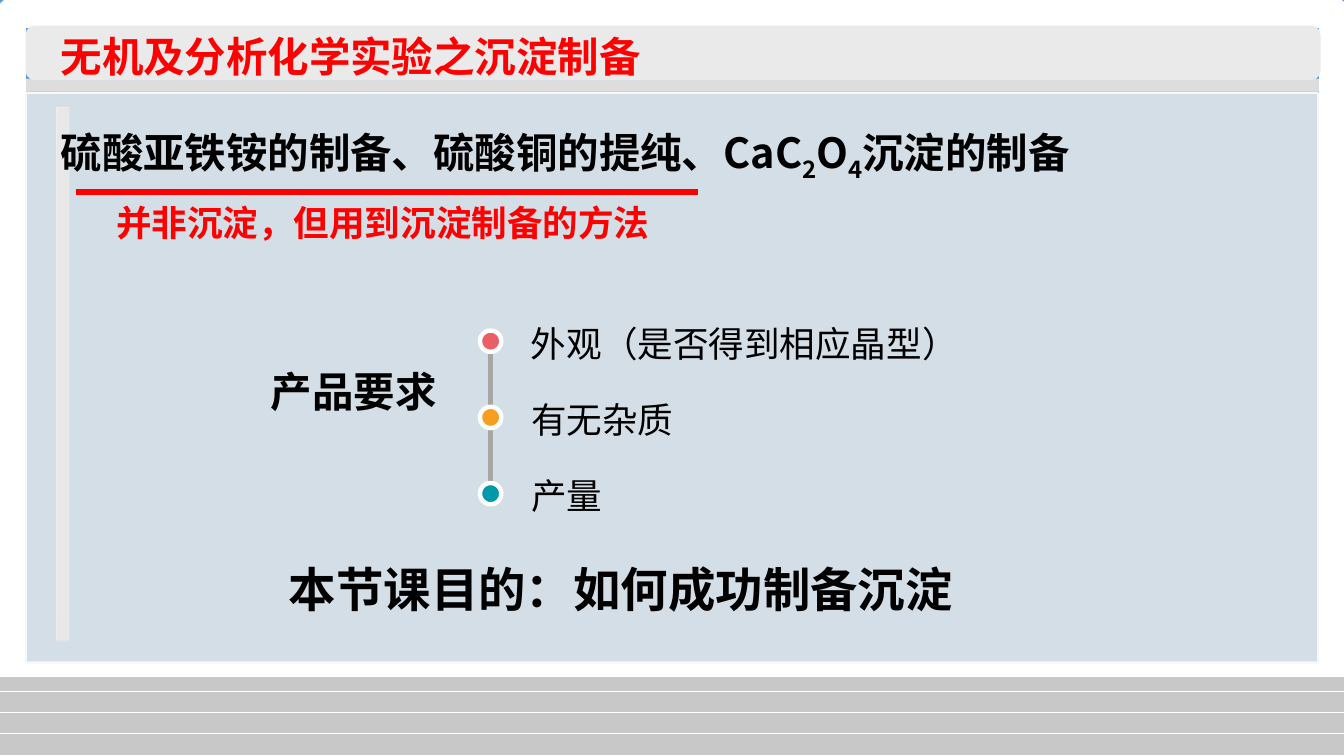
from pptx import Presentation
from pptx.dml.color import RGBColor
from pptx.enum.dml import MSO_PATTERN
from pptx.enum.shapes import MSO_CONNECTOR, MSO_SHAPE
from pptx.enum.text import MSO_AUTO_SIZE, PP_ALIGN
from pptx.oxml.ns import qn
from pptx.util import Inches, Pt
from lxml import etree

# Grid of 126 columns by 70.9 rows, one cell is a tenth of an inch
COLUMNS, ROWS = 126, 70.9

BLUE = RGBColor(0x5B, 0x9B, 0xD5)
WHITE = RGBColor(0xFF, 0xFF, 0xFF)
BLACK = RGBColor(0x00, 0x00, 0x00)
RED = RGBColor(0xFF, 0x00, 0x00)
PANEL = RGBColor(0xEA, 0xEA, 0xEA)
PANEL_EDGE = RGBColor(0xF8, 0xF8, 0xF8)
STRIP = RGBColor(0xDD, 0xDD, 0xDD)
SHADE = RGBColor(0xB2, 0xB2, 0xB2)
STRIPE = RGBColor(0xC8, 0xC8, 0xC8)
TIMELINE = RGBColor(0xA6, 0xA6, 0xA6)
CORAL = RGBColor(0xEA, 0x5E, 0x66)
ORANGE = RGBColor(0xF6, 0x9F, 0x1E)
TEAL = RGBColor(0x00, 0x99, 0xA9)

SANS, SERIF = "Noto Sans CJK SC", "Times New Roman"
REQUIREMENTS = [
    ("外观（是否得到相应晶型）", 42.4, CORAL),
    ("有无杂质", 15.5, ORANGE),
    ("产量", 8.8, TEAL),
]


def cells(*counts):
    return [Inches(count / 10) for count in counts]


def paint(shape, fill=None, line=None, width=1):
    shape.shadow.inherit = False
    if fill is None:
        shape.fill.background()
    else:
        shape.fill.solid()
        shape.fill.fore_color.rgb = fill
    if line is None:
        shape.line.fill.background()
    else:
        shape.line.color.rgb = line
        shape.line.width = Pt(width)


def add_block(slide, box, fill=None, line=None, width=1, kind=MSO_SHAPE.RECTANGLE):
    shape = slide.shapes.add_shape(kind, *cells(*box))
    paint(shape, fill, line, width)
    return shape


def add_bevel(slide, box, upper, lower, fill=None):
    """Two open corner outlines: upper left, then lower right."""
    left, top, width, height = box
    right, bottom = left + width, top + height
    for corner, color in (((left, top), upper), ((right, bottom), lower)):
        points = [cells(*point) for point in ((left, bottom), corner, (right, top))]
        builder = slide.shapes.build_freeform(*points[0], scale=1.0)
        builder.add_line_segments(points[1:], close=False)
        paint(builder.convert_to_shape(), fill, color)


def add_line(slide, start, end, color, width):
    line = slide.shapes.add_connector(MSO_CONNECTOR.STRAIGHT, *cells(*start, *end))
    line.line.color.rgb = color
    line.line.width = Pt(width)
    etree.SubElement(line._element.spPr, qn("a:effectLst"))


def add_text(slide, box, parts, size, font=SANS, color=BLACK, bold=True,
             wrap=False, spacing=1.0):
    """Each part is a text with its baseline shift in percent."""
    frame = slide.shapes.add_textbox(*cells(*box)).text_frame
    frame.word_wrap = wrap
    frame.auto_size = MSO_AUTO_SIZE.SHAPE_TO_FIT_TEXT
    paragraph = frame.paragraphs[0]
    paragraph.alignment = PP_ALIGN.LEFT
    paragraph.line_spacing = spacing
    for text, baseline in parts:
        run = paragraph.add_run()
        run.text = text
        run.font.color.rgb = color
        for name, value in {"size": Pt(size), "bold": bold, "name": font}.items():
            setattr(run.font, name, value)
        properties = run._r.get_or_add_rPr()
        etree.SubElement(properties, qn("a:ea")).set("typeface", SANS)
        if baseline:
            properties.set("baseline", str(baseline * 1000))


def add_backdrop(slide):
    background = slide.background.fill
    background.solid()
    background.fore_color.rgb = BLUE

    # Frame and the strip below the header
    add_bevel(slide, (1.4, 7.5, 123, 55.1), SHADE, WHITE)
    strip = (0.7, 7.4, 124, 1.2)
    add_block(slide, strip, STRIP)
    add_bevel(slide, strip, None, None, STRIP)
    add_block(slide, (1.1, 1.2, 124, 62.2), line=WHITE, width=20)

    # Vertical bar
    bar = (5.3, 10.1, 1.2, 50)
    add_block(slide, bar, STRIP)
    add_bevel(slide, bar, WHITE, SHADE, STRIP)

    # Striped footer
    footer = add_block(slide, (-0.4, 63.4, 126.7, 7.9), STRIPE)
    footer.fill.patterned()
    footer.fill.pattern = MSO_PATTERN.DARK_HORIZONTAL
    footer.fill.fore_color.rgb = STRIPE
    footer.fill.back_color.rgb = WHITE

    # Header and translucent panel
    add_block(slide, (2.4, 2.4, 121.4, 5.1), PANEL,
              kind=MSO_SHAPE.FLOWCHART_ALTERNATE_PROCESS)
    panel = add_block(slide, (2.4, 8.7, 121.2, 53.5), PANEL, PANEL_EDGE, 1.5)
    color = panel._element.spPr.find(qn("a:solidFill"))[0]
    etree.SubElement(color, qn("a:alpha")).set("val", "85000")


def add_requirements(slide):
    add_text(slide, (24.4, 33.8, 17.8, 5.7), [("产品要求", 0)], 28, SERIF)
    add_line(slide, (46, 31.2), (46, 47.3), TIMELINE, 3)
    for index, (text, width, color) in enumerate(REQUIREMENTS):
        step = index * 7.15
        add_block(slide, (45, 31 + step, 2, 2), color, WHITE, 3, MSO_SHAPE.OVAL)
        add_text(slide, (48.8, 29.7 + step, width, 5), [(text, 0)], 24, bold=False)


def main():
    presentation = Presentation()
    presentation.slide_width, presentation.slide_height = cells(COLUMNS, ROWS)
    slide = presentation.slides.add_slide(presentation.slide_layouts[6])

    add_backdrop(slide)

    # Title, topics and the aim of the lesson
    add_text(slide, (4.7, 2.4, 57.2, 5.7),
             [("无机及分析化学实验之沉淀制备", 0)], 28, color=RED)
    topics = [("硫酸亚铁铵的制备、硫酸铜的提纯、CaC", 0), ("2", -25), ("O", 0),
              ("4", -25), ("沉淀的制备", 0)]
    add_text(slide, (4.7, 9.8, 97.5, 7.2), topics, 28, wrap=True, spacing=1.3)
    add_text(slide, (26.1, 52, 65.1, 6.4),
             [("本节课目的：如何成功制备沉淀", 0)], 32, SERIF)

    add_requirements(slide)

    # Underline with its remark
    add_line(slide, (7.1, 18), (65.4, 18), RED, 4)
    add_text(slide, (9.9, 18.4, 52.8, 5),
             [("并非沉淀，但用到沉淀制备的方法", 0)], 24, SERIF, RED)

    presentation.save("out.pptx")


if __name__ == "__main__":
    main()
